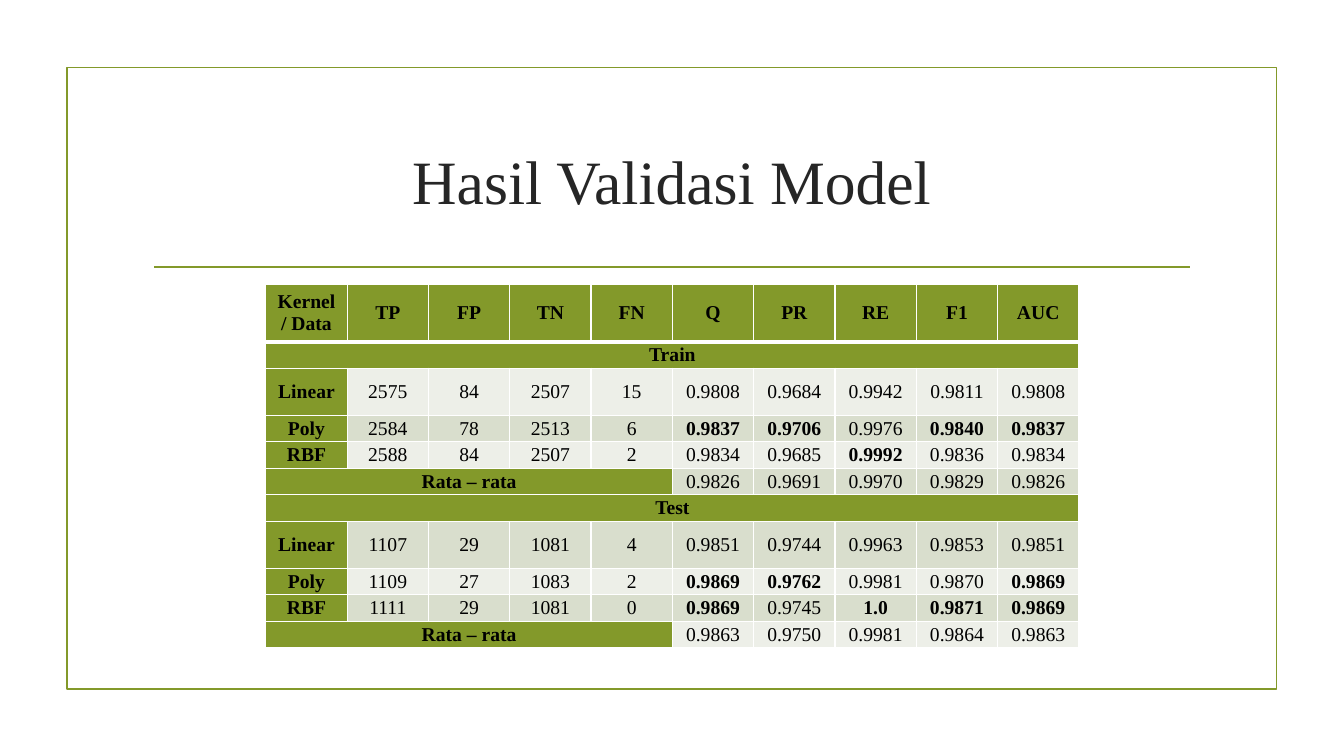
from lxml import etree
from pptx import Presentation
from pptx.dml.color import RGBColor
from pptx.enum.shapes import MSO_CONNECTOR, MSO_SHAPE
from pptx.enum.text import MSO_ANCHOR, PP_ALIGN
from pptx.oxml.ns import qn
from pptx.util import Cm, Pt

STRAIGHT = MSO_CONNECTOR.STRAIGHT
RECTANGLE = MSO_SHAPE.RECTANGLE
MIDDLE = MSO_ANCHOR.MIDDLE
CENTER = PP_ALIGN.CENTER

OLIVE = RGBColor(0x83, 0x99, 0x2A)
PALE = RGBColor(0xED, 0xEF, 0xE8)
SAGE = RGBColor(0xD9, 0xDE, 0xCD)
WHITE = RGBColor(0xFF, 0xFF, 0xFF)
BLACK = RGBColor(0x00, 0x00, 0x00)
CHARCOAL = RGBColor(0x26, 0x26, 0x26)

FONT = "Times New Roman"
TITLE_FONT = {"name": FONT, "size": Pt(44), "bold": False}
CELL_FONT = {"name": FONT, "size": Pt(14)}
CELL_FORMAT = {
    "vertical_anchor": MIDDLE,
    "margin_left": Cm(0.18),
    "margin_right": Cm(0.18),
    "margin_top": 0,
    "margin_bottom": 0,
}

COLUMN_WIDTH = 2.05
HEADER_HEIGHT, LINEAR_HEIGHT, ROW_HEIGHT = 1.44, 1.18, 0.67
BEST = "*"
RESULTS = [
    ["Kernel / Data", "TP", "FP", "TN", "FN", "Q", "PR", "RE", "F1", "AUC"],
    ["Train"],
    ["Linear", "2575", "84", "2507", "15", "0.9808", "0.9684", "0.9942", "0.9811", "0.9808"],
    ["Poly", "2584", "78", "2513", "6", "*0.9837", "*0.9706", "0.9976", "*0.9840", "*0.9837"],
    ["RBF", "2588", "84", "2507", "2", "0.9834", "0.9685", "*0.9992", "0.9836", "0.9834"],
    ["Rata – rata", "0.9826", "0.9691", "0.9970", "0.9829", "0.9826"],
    ["Test"],
    ["Linear", "1107", "29", "1081", "4", "0.9851", "0.9744", "0.9963", "0.9853", "0.9851"],
    ["Poly", "1109", "27", "1083", "2", "*0.9869", "*0.9762", "0.9981", "0.9870", "*0.9869"],
    ["RBF", "1111", "29", "1081", "0", "*0.9869", "0.9745", "*1.0", "*0.9871", "*0.9869"],
    ["Rata – rata", "0.9863", "0.9750", "0.9981", "0.9864", "0.9863"],
]


def apply_format(target, values):
    """Set each named attribute on the target."""
    for name, value in values.items():
        setattr(target, name, value)


def write_text(tf, text, font, color):
    """Write one centred run."""
    p = tf.paragraphs[0]
    p.alignment = CENTER
    r = p.add_run()
    r.text = text
    apply_format(r.font, font)
    r.font.color.rgb = color


def add_frame(s, left, top, width, height):
    """Add the unfilled olive frame."""
    sp = s.shapes.add_shape(RECTANGLE, Cm(left), Cm(top), Cm(width), Cm(height))
    sp.shadow.inherit = False
    sp.fill.background()
    sp.line.color.rgb = OLIVE
    sp.line.width = Pt(1.25)


def add_rule(s, left, right, y):
    """Add a horizontal olive line."""
    line = s.shapes.add_connector(STRAIGHT, Cm(left), Cm(y), Cm(right), Cm(y))
    line.line.color.rgb = OLIVE
    line.line.width = Pt(1.25)
    etree.SubElement(line._element.spPr, qn("a:effectLst"))


def add_title(s, text, left, top, width, height):
    """Add the centred slide title."""
    tf = s.shapes.add_textbox(Cm(left), Cm(top), Cm(width), Cm(height)).text_frame
    apply_format(tf, {"word_wrap": True, "vertical_anchor": MIDDLE})
    write_text(tf, text, TITLE_FONT, CHARCOAL)


def set_borders(cell, widths):
    """Draw white borders with a width in points per side."""
    tc_pr = cell._tc.get_or_add_tcPr()
    for side, width in widths.items():
        ln = etree.SubElement(tc_pr, qn(f"a:ln{side}"), w=str(Pt(width)))
        fill = etree.SubElement(ln, qn("a:solidFill"))
        etree.SubElement(fill, qn("a:srgbClr"), val=str(WHITE))


def style_cell(cell, row, fill):
    """Set the margins, borders and fill of a cell."""
    apply_format(cell, CELL_FORMAT)
    top, bottom = 3 if row == 1 else 1, 3 if row == 0 else 1
    set_borders(cell, {"L": 1, "R": 1, "T": top, "B": bottom})
    cell.fill.solid()
    cell.fill.fore_color.rgb = fill


def row_height(row, label):
    """Return the height of a row in centimetres."""
    if row == 0:
        return HEADER_HEIGHT
    return LINEAR_HEIGHT if label == "Linear" else ROW_HEIGHT


def add_results(s, rows, left, top):
    """Add the table, widening each row's label over its missing columns."""
    count = len(rows[0])
    heights = [row_height(i, values[0]) for i, values in enumerate(rows)]
    table = s.shapes.add_table(len(rows), count, Cm(left), Cm(top),
                               Cm(count * COLUMN_WIDTH), Cm(sum(heights))).table
    for column in table.columns:
        column.width = Cm(COLUMN_WIDTH)
    for i, values in enumerate(rows):
        table.rows[i].height = Cm(heights[i])
        span = count - len(values) + 1
        if span > 1:
            table.cell(i, 0).merge(table.cell(i, span - 1))
        band = SAGE if i % 2 else PALE
        for j in range(count):
            is_label = i == 0 or j < span
            cell = table.cell(i, j)
            style_cell(cell, i, OLIVE if is_label else band)
            if cell.is_spanned:
                continue
            text = values[max(0, j - span + 1)]
            bold = is_label or text.startswith(BEST)
            write_text(cell.text_frame, text.lstrip(BEST), {**CELL_FONT, "bold": bold}, BLACK)


def main():
    """Build the slide and save it."""
    prs = Presentation()
    apply_format(prs, {"slide_width": Cm(33.87), "slide_height": Cm(19.05)})
    s = prs.slides.add_slide(prs.slide_layouts[6])
    add_frame(s, 1.69, 1.7, 30.48, 15.67)
    add_rule(s, 3.89, 30, 6.73)
    add_title(s, "Hasil Validasi Model", 3.6, 2.72, 26.67, 3.63)
    add_results(s, RESULTS, 6.7, 7.17)
    prs.save("out.pptx")


if __name__ == "__main__":
    main()
